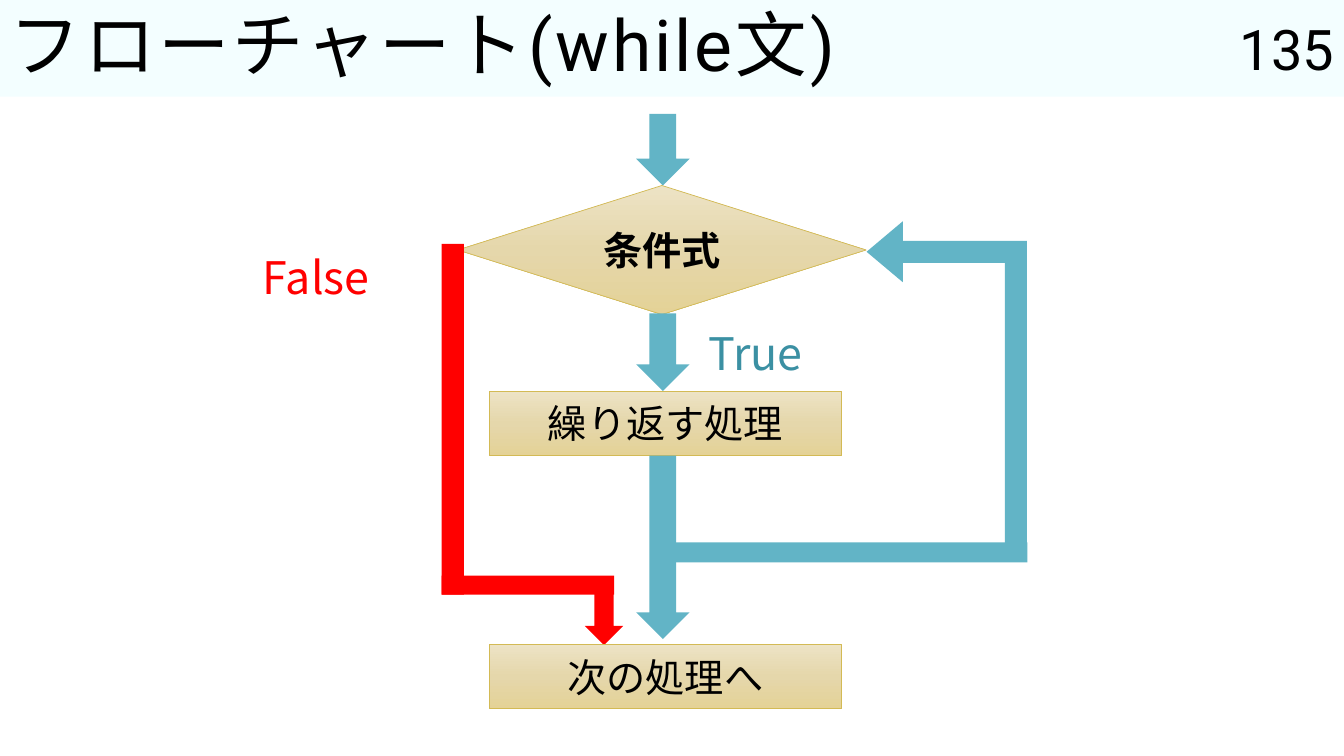
from copy import deepcopy
from dataclasses import dataclass

from lxml.etree import SubElement
from pptx import Presentation
from pptx.dml.color import RGBColor
from pptx.enum.shapes import MSO_SHAPE
from pptx.enum.text import MSO_ANCHOR, PP_ALIGN
from pptx.oxml.ns import qn
from pptx.util import Inches, Pt


@dataclass(frozen=True)
class Theme:
    header: str = "F3FEFF"
    text: str = "000000"
    flow: str = "62B4C6"
    true_text: str = "3B90A3"
    false: str = "FF0000"
    box_line: str = "D3BA55"
    box_stops: tuple = ((0, "EDE3C5"), (0.5, "E5D7AB"), (1, "E4D297"))
    latin: str = "Roboto"
    japanese: str = "Noto Sans CJK JP"
    title_size: int = 51
    number_size: int = 40
    label_size: int = 32
    box_size: int = 28


@dataclass(frozen=True)
class Box:
    left: float
    top: float
    width: float
    height: float


@dataclass(frozen=True)
class Step:
    text: str
    box: Box
    kind: MSO_SHAPE = MSO_SHAPE.RECTANGLE
    bold: bool = False


@dataclass(frozen=True)
class Label:
    text: str
    box: Box
    color: str
    size: int = 32
    font: str = "Noto Sans CJK JP"
    align: PP_ALIGN = PP_ALIGN.LEFT
    anchor: MSO_ANCHOR = MSO_ANCHOR.TOP


@dataclass(frozen=True)
class Flow:
    kind: MSO_SHAPE
    box: Box
    color: str
    rotation: int = 0
    adjustments: tuple = ()


T = Theme()
CENTER_X = 6.31
ARROW_W = 0.53
STEP_X, STEP_W, STEP_H = 4.85, 3.5, 0.64
HEADER_H = 0.96

STEPS = (
    Step("条件式", Box(4.54, 1.84, 4.05, 1.28), MSO_SHAPE.DIAMOND, True),
    Step("繰り返す処理", Box(STEP_X, 3.88, STEP_W, STEP_H)),
    Step("次の処理へ", Box(STEP_X, 6.39, STEP_W, STEP_H)),
)
LABELS = (
    Label("135", Box(11.83, 0, 1.5, HEADER_H), T.text, T.number_size, T.latin,
          PP_ALIGN.RIGHT, MSO_ANCHOR.MIDDLE),
    Label("True", Box(6.93, 3.18, 1.67, 0.64), T.true_text, T.label_size),
    Label("False", Box(2.51, 2.43, 1.74, 0.64), T.false, T.label_size),
)
DOWN_ARROWS = tuple(
    Flow(MSO_SHAPE.DOWN_ARROW, Box(CENTER_X, top, ARROW_W, height), T.flow)
    for top, height in ((1.13, 0.71), (3.11, 0.77), (4.52, 1.82))
)
LOOP_BACK = (
    Flow(MSO_SHAPE.RECTANGLE, Box(6.51, 5.38, 3.68, 0.2), T.flow),
    Flow(MSO_SHAPE.BENT_UP_ARROW, Box(7.7, 3.09, 3.38, 1.59), T.flow, 270,
         (0.137, 0.19, 0.226)),
)
FALSE_EXIT = (
    Flow(MSO_SHAPE.RECTANGLE, Box(2.75, 4.05, 3.48, 0.22), T.false, 90),
    Flow(MSO_SHAPE.RECTANGLE, Box(4.38, 5.71, 1.71, 0.19), T.false, 180),
    Flow(MSO_SHAPE.UP_ARROW, Box(5.8, 5.76, 0.38, 0.64), T.false, 180),
)


def frame(box: Box) -> tuple:
    return tuple(Inches(v) for v in (box.left, box.top, box.width, box.height))


def set_text(sp, text: str, *, size: int, font: str, color: str = T.text,
             bold: bool = False, align: PP_ALIGN = PP_ALIGN.LEFT,
             anchor: MSO_ANCHOR = MSO_ANCHOR.MIDDLE, spacing: int = 0,
             line_spacing: float = 1.0) -> None:
    """Write one paragraph; spacing is the letter spacing in points."""
    tf = sp.text_frame
    tf.word_wrap = True
    tf.vertical_anchor = anchor
    p = tf.paragraphs[0]
    p.alignment = align
    p.line_spacing = line_spacing
    r = p.add_run()
    r.text = text
    r.font.size = Pt(size)
    r.font.bold = bold
    r.font.color.rgb = RGBColor.from_string(color)
    r.font.name = font
    props = r.font._element
    SubElement(props, qn("a:ea"), typeface=T.japanese)
    if spacing:
        props.set("spc", str(spacing * 100))


def add_plain(slide, kind: MSO_SHAPE, box: Box, color: str):
    sp = slide.shapes.add_shape(kind, *frame(box))
    sp.shadow.inherit = False
    sp.fill.solid()
    sp.fill.fore_color.rgb = RGBColor.from_string(color)
    sp.line.fill.background()
    return sp


def add_title(slide, text: str) -> None:
    sp = add_plain(slide, MSO_SHAPE.RECTANGLE, Box(0, 0, 13.33, HEADER_H), T.header)
    set_text(sp, text, size=T.title_size, font=T.latin, spacing=2, line_spacing=0.9)


def add_step(slide, step: Step) -> None:
    sp = slide.shapes.add_shape(step.kind, *frame(step.box))
    sp.shadow.inherit = False
    sp.fill.gradient()
    sp.fill.gradient_angle = 270
    stop_list = sp._element.spPr.find(f".//{qn('a:gsLst')}")
    stop_list.insert(1, deepcopy(stop_list[0]))
    for stop, (position, color) in zip(sp.fill.gradient_stops, T.box_stops):
        stop.position = position
        stop.color.rgb = RGBColor.from_string(color)
    sp.line.color.rgb = RGBColor.from_string(T.box_line)
    sp.line.width = Pt(0.5)
    set_text(sp, step.text, size=T.box_size, font=T.japanese, bold=step.bold,
             align=PP_ALIGN.CENTER)


def add_label(slide, label: Label) -> None:
    sp = slide.shapes.add_textbox(*frame(label.box))
    set_text(sp, label.text, size=label.size, font=label.font, color=label.color,
             align=label.align, anchor=label.anchor)


def add_flow(slide, flow: Flow) -> None:
    sp = add_plain(slide, flow.kind, flow.box, flow.color)
    sp.rotation = flow.rotation
    for i, value in enumerate(flow.adjustments):
        sp.adjustments[i] = value


def main() -> None:
    prs = Presentation()
    prs.slide_width, prs.slide_height = Inches(13.33), Inches(7.5)
    slide = prs.slides.add_slide(prs.slide_layouts[6])
    add_title(slide, "フローチャート(while文)")
    *first_steps, last_step = STEPS
    for step in first_steps:
        add_step(slide, step)
    for label in LABELS:
        add_label(slide, label)
    *upper_arrows, exit_arrow = DOWN_ARROWS
    for flow in (*upper_arrows, *LOOP_BACK, *FALSE_EXIT, exit_arrow):
        add_flow(slide, flow)
    add_step(slide, last_step)
    prs.save("out.pptx")


if __name__ == "__main__":
    main()
